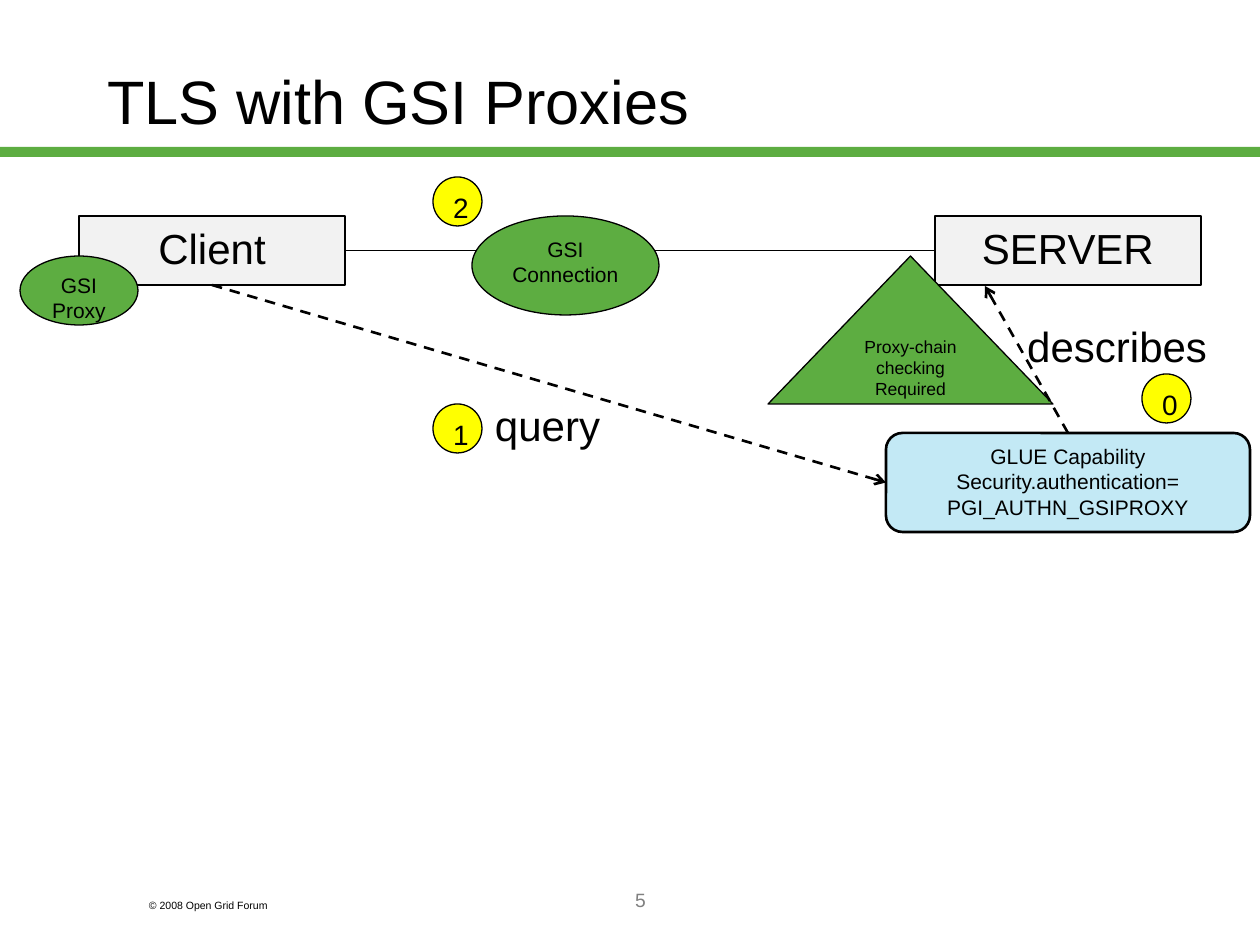
import dataclasses
import lxml.etree
import pptx
import pptx.dml.color
import pptx.enum.dml
import pptx.enum.shapes
import pptx.enum.text
import pptx.oxml.ns
import pptx.shapes.autoshape
import pptx.shapes.connector
import pptx.slide
import pptx.text.text
import pptx.util

RGBColor = pptx.dml.color.RGBColor
Shape = pptx.enum.shapes.MSO_SHAPE
Align = pptx.enum.text.PP_ALIGN
Anchor = pptx.enum.text.MSO_ANCHOR
qn = pptx.oxml.ns.qn

BLACK = RGBColor(0x00, 0x00, 0x00)
WHITE = RGBColor(0xFF, 0xFF, 0xFF)
GRAY = RGBColor(0x80, 0x80, 0x80)
PALE_GRAY = RGBColor(0xF2, 0xF2, 0xF2)
GREEN = RGBColor(0x5D, 0xAD, 0x41)
PALE_BLUE = RGBColor(0xC3, 0xE9, 0xF5)
YELLOW = RGBColor(0xFF, 0xFF, 0x00)

FONT = "Arial"
PX_PER_INCH = 126
BADGE_SIZE = 49


@dataclasses.dataclass(frozen=True)
class Area:
    left: int
    top: int
    width: int
    height: int


@dataclasses.dataclass(frozen=True)
class Node:
    kind: Shape
    area: Area
    text: str
    size: int
    fill: RGBColor
    line_width: float = 0.75
    align: Align = Align.CENTER
    wrap: bool = True


@dataclasses.dataclass(frozen=True)
class Label:
    text: str
    area: Area
    size: int
    color: RGBColor = BLACK
    align: Align = Align.RIGHT
    wrap: bool = False


def badge(digit: str, left: int, top: int) -> Node:
    area = Area(left, top, BADGE_SIZE, BADGE_SIZE)
    return Node(Shape.OVAL, area, digit, 16, YELLOW, align=Align.RIGHT)


CLIENT = Node(Shape.RECTANGLE, Area(79, 216, 266, 69), "Client", 24, PALE_GRAY, 1.5)
PROXY = Node(Shape.OVAL, Area(20, 256, 118, 69), "GSI\vProxy", 12, GREEN)
SERVER = Node(Shape.RECTANGLE, Area(935, 216, 266, 69), "SERVER", 24, PALE_GRAY, 1.5)
CONNECTION = Node(Shape.OVAL, Area(472, 216, 187, 99), "GSI\vConnection", 12, GREEN,
                  wrap=False)
CHECK = Node(Shape.ISOSCELES_TRIANGLE, Area(768, 256, 285, 148),
             "Proxy-chain checking\nRequired", 10, GREEN)
CAPABILITY = Node(Shape.ROUNDED_RECTANGLE, Area(886, 433, 364, 99),
                  "GLUE Capability\nSecurity.authentication=\nPGI_AUTHN_GSIPROXY",
                  12, PALE_BLUE, 1.5)
BADGES = [badge("1", 433, 404), badge("2", 433, 177), badge("0", 1142, 374)]
LABELS = [
    Label("query", Area(483, 394, 130, 63), 24),
    Label("describes", Area(1015, 315, 205, 63), 24),
    Label("© 2008 Open Grid Forum", Area(136, 893, 189, 25), 6, align=Align.LEFT, wrap=True),
    Label("5", Area(273, 882, 735, 63), 11, GRAY, Align.CENTER, wrap=True),
]


def px(length: int) -> pptx.util.Emu:
    return pptx.util.Emu(round(length * 914400 / PX_PER_INCH))


def bounds(area: Area) -> list[pptx.util.Emu]:
    return [px(length) for length in dataclasses.astuple(area)]


def write_text(frame: pptx.text.text.TextFrame, text: str, *, size: int,
               color: RGBColor = BLACK, align: Align = Align.CENTER,
               anchor: Anchor = Anchor.TOP, wrap: bool = True) -> None:
    frame.word_wrap = wrap
    frame.auto_size = pptx.enum.text.MSO_AUTO_SIZE.NONE
    frame.vertical_anchor = anchor
    frame.margin_left = frame.margin_right = px(13)
    frame.margin_top = frame.margin_bottom = px(6)
    frame.text = text
    for para in frame.paragraphs:
        para.alignment = align
        for line_break in para._p.findall(qn("a:br")):
            lxml.etree.SubElement(line_break, qn("a:rPr")).set("sz", str(size * 100))
        for span in para.runs:
            span.font.name = FONT
            span.font.size = pptx.util.Pt(size)
            span.font.color.rgb = color


def add_filled(page: pptx.slide.Slide, kind: Shape, area: Area,
               fill: RGBColor) -> pptx.shapes.autoshape.Shape:
    shape = page.shapes.add_shape(kind, *bounds(area))
    shape.shadow.inherit = False
    shape.fill.solid()
    shape.fill.fore_color.rgb = fill
    shape.line.fill.background()
    return shape


def draw_node(page: pptx.slide.Slide, node: Node) -> pptx.shapes.autoshape.Shape:
    shape = add_filled(page, node.kind, node.area, node.fill)
    shape.line.color.rgb = BLACK
    shape.line.width = pptx.util.Pt(node.line_width)
    write_text(shape.text_frame, node.text, size=node.size, align=node.align, wrap=node.wrap)
    return shape


def draw_label(page: pptx.slide.Slide, label: Label) -> None:
    box = page.shapes.add_textbox(*bounds(label.area))
    write_text(box.text_frame, label.text, size=label.size, color=label.color,
               align=label.align, wrap=label.wrap)


def draw_link(page: pptx.slide.Slide, start: tuple[int, int], end: tuple[int, int],
              arrow: bool = True) -> pptx.shapes.connector.Connector:
    link = page.shapes.add_connector(
        pptx.enum.shapes.MSO_CONNECTOR.STRAIGHT, *map(px, start + end))
    link.line.color.rgb = BLACK
    link.line.width = pptx.util.Pt(1.5 if arrow else 0.75)
    if arrow:
        link.line.dash_style = pptx.enum.dml.MSO_LINE.DASH
        tail = lxml.etree.SubElement(link.line._get_or_add_ln(), qn("a:tailEnd"))
        tail.set("type", "arrow")
    lxml.etree.SubElement(link._element.spPr, qn("a:effectLst"))
    return link


def main() -> None:
    deck = pptx.Presentation()
    deck.slide_width, deck.slide_height = px(1260), px(945)
    page = deck.slides.add_slide(deck.slide_layouts[5])
    page.background.fill.solid()
    page.background.fill.fore_color.rgb = WHITE

    title = page.shapes.title
    title.left, title.top, title.width, title.height = bounds(Area(94, 21, 1071, 158))
    write_text(title.text_frame, "TLS with GSI Proxies", size=35, align=Align.LEFT,
               anchor=Anchor.MIDDLE)
    add_filled(page, Shape.RECTANGLE, Area(0, 147, 1260, 10), GREEN)

    client = draw_node(page, CLIENT)
    draw_node(page, PROXY)
    server = draw_node(page, SERVER)
    session = draw_link(page, (345, 251), (935, 251), arrow=False)
    session.begin_connect(client, 3)
    session.end_connect(server, 1)

    draw_node(page, CONNECTION)
    draw_node(page, CHECK)
    capability = draw_node(page, CAPABILITY)
    query = draw_link(page, (212, 285), (886, 482))
    query.begin_connect(client, 2)
    query.end_connect(capability, 1)
    describes = draw_link(page, (1068, 433), (985, 286))
    describes.begin_connect(capability, 0)

    for step in BADGES:
        draw_node(page, step)
    for label in LABELS:
        draw_label(page, label)
    deck.save("out.pptx")


if __name__ == "__main__":
    main()
